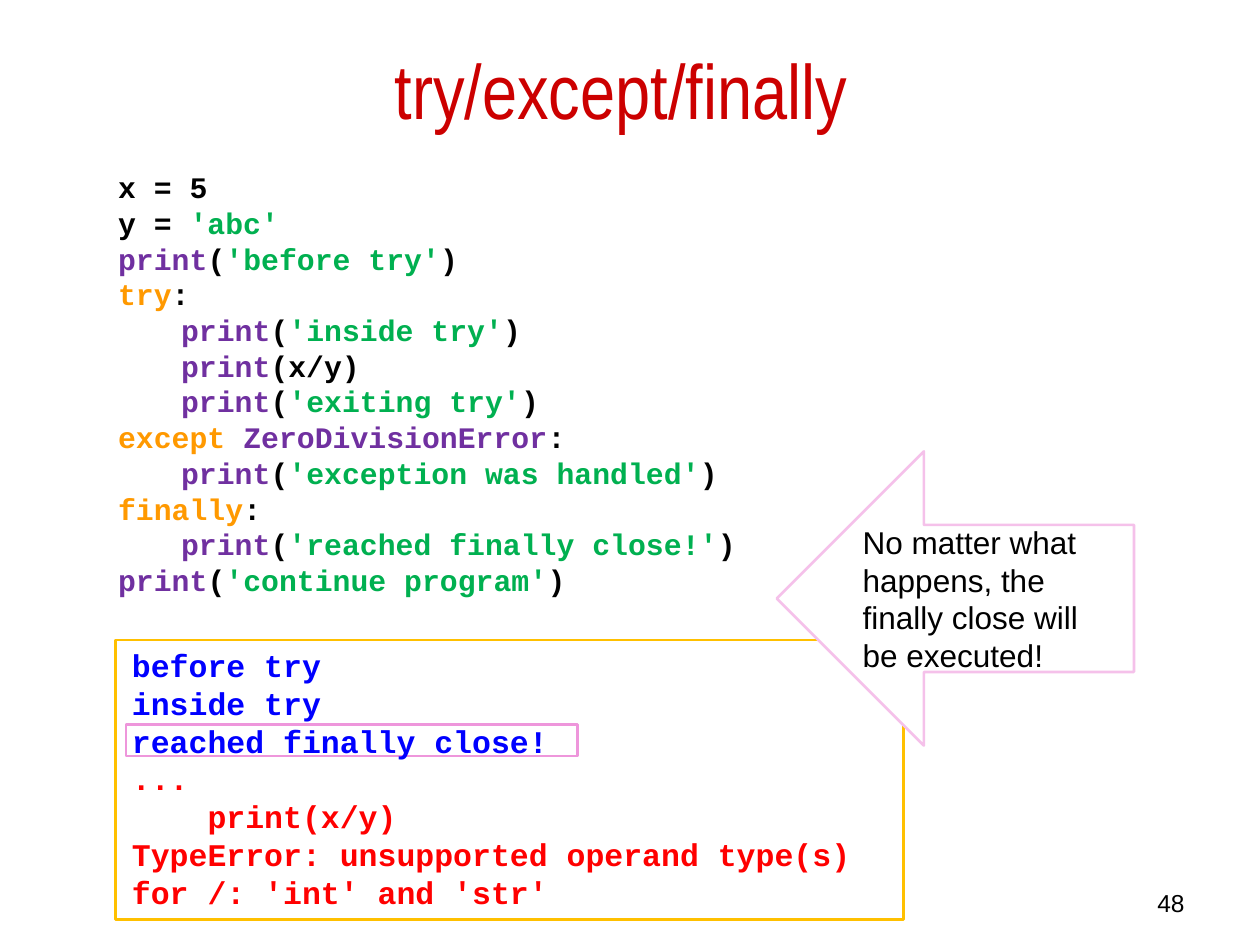
import pptx
import pptx.util
import pptx.dml.color
import pptx.enum.shapes
import pptx.enum.text
import pptx.oxml.ns
import lxml.etree

Cm = pptx.util.Cm
Pt = pptx.util.Pt
Shape = pptx.enum.shapes.MSO_SHAPE
Align = pptx.enum.text.PP_ALIGN
Anchor = pptx.enum.text.MSO_ANCHOR
Fit = pptx.enum.text.MSO_AUTO_SIZE

BLACK, RED, BLUE = "000000", "FF0000", "0000FF"
GREEN, PURPLE, ORANGE = "00B050", "7030A0", "FF9900"


def color(code):
    return pptx.dml.color.RGBColor.from_string(code)


def put(shape, left, top, width, height):
    shape.left, shape.top = Cm(left), Cm(top)
    shape.width, shape.height = Cm(width), Cm(height)


def call(text, indent=""):
    return [(indent + "print", PURPLE), ("(", BLACK), (text, GREEN), (")", BLACK)]


class Deck:
    sans, title_font, mono = "Arial", "Arial Narrow", "Courier New"

    def __init__(self):
        self.show = pptx.Presentation()
        self.show.slide_width, self.show.slide_height = Cm(25.4), Cm(19.05)
        self.slide = self.show.slides.add_slide(self.show.slide_layouts[5])

    def style(self, para, size, name, tint=None, bold=False, align=Align.LEFT):
        para.alignment = align
        font = para.font
        font.size, font.name, font.bold = Pt(size), name, bold
        if tint:
            font.color.rgb = color(tint)

    def title(self, text, *place):
        box = self.slide.shapes.title
        put(box, *place)
        box.text_frame.text = text
        box.text_frame.vertical_anchor = Anchor.MIDDLE
        self.style(box.text_frame.paragraphs[0], 44, self.title_font,
                   "CC0000", align=Align.CENTER)

    def shape(self, kind, line, *place, fill=None):
        item = self.slide.shapes.add_shape(kind, *map(Cm, place))
        item.shadow.inherit = False
        if fill:
            item.fill.solid()
            item.fill.fore_color.rgb = color(fill)
        else:
            item.fill.background()
        item.line.color.rgb = color(line)
        item.line.width = Pt(1.5)
        return item

    def arrow(self, text, *place):
        item = self.shape(Shape.LEFT_ARROW, "F5C1EA", *place, fill="FFFFFF")
        frame = item.text_frame
        frame.text = text
        frame.vertical_anchor = Anchor.MIDDLE
        self.style(frame.paragraphs[0], 18, self.sans, BLACK)

    def box(self, wrap, *place):
        frame = self.slide.shapes.add_textbox(*map(Cm, place)).text_frame
        frame.word_wrap = wrap
        return frame

    def number(self, text, *place):
        frame = self.box(True, *place)
        frame.text = text
        self.style(frame.paragraphs[0], 14, self.sans, BLACK, align=Align.RIGHT)

    def tab(self, para, stop):
        qn = pptx.oxml.ns.qn
        props = para._p.get_or_add_pPr()
        tabs = lxml.etree.SubElement(props, qn("a:tabLst"))
        lxml.etree.SubElement(tabs, qn("a:tab"), pos=str(Cm(stop)), algn="l")

    def code(self, lines, size, wrap, *place):
        frame = self.box(wrap, *place)
        frame.auto_size = Fit.SHAPE_TO_FIT_TEXT
        for i, line in enumerate(lines):
            para = frame.add_paragraph() if i else frame.paragraphs[0]
            if line[0][0].startswith("\t"):
                self.tab(para, 1.27)
            self.style(para, size, self.mono, bold=True)
            for text, tint in line:
                run = para.add_run()
                run.text = text
                run.font.color.rgb = color(tint)


def main():
    deck = Deck()
    deck.title("try/except/finally ", 1.27, 0.2, 22.86, 3.18)
    deck.number("48", 18.2, 17.78, 5.93, 0.64)
    deck.shape(Shape.RECTANGLE, "FFC000", 2.33, 12.9, 15.88, 5.64)
    deck.arrow("No matter what happens, the finally close will be executed!",
               15.66, 9.1, 7.2, 5.93)
    deck.shape(Shape.RECTANGLE, "EE96DB", 2.54, 14.6, 9.1, 0.64)
    program = [
        [("x = 5", BLACK)],
        [("y = ", BLACK), ("'abc'", GREEN)],
        call("'before try'"),
        [("try", ORANGE), (":", BLACK)],
        call("'inside try'", "\t"),
        [("\tprint", PURPLE), ("(x/y)", BLACK)],
        call("'exiting try'", "\t"),
        [("except ", ORANGE), ("ZeroDivisionError", PURPLE), (":", BLACK)],
        call("'exception was handled'", "\t"),
        [("finally", ORANGE), (":", BLACK)],
        call("'reached finally close!'", "\t"),
        call("'continue program'"),
    ]
    deck.code(program, 17, False, 2.13, 3.28, 13.11, 8.97)
    good = ["before try", "inside try", "reached finally close!"]
    bad = ["...", "    print(x/y)",
           "TypeError: unsupported operand type(s) for /: 'int' and 'str'"]
    output = [[(text, BLUE)] for text in good] + [[(text, RED)] for text in bad]
    deck.code(output, 18, True, 2.41, 12.9, 15.8, 5.64)
    deck.show.save("out.pptx")


if __name__ == "__main__":
    main()
